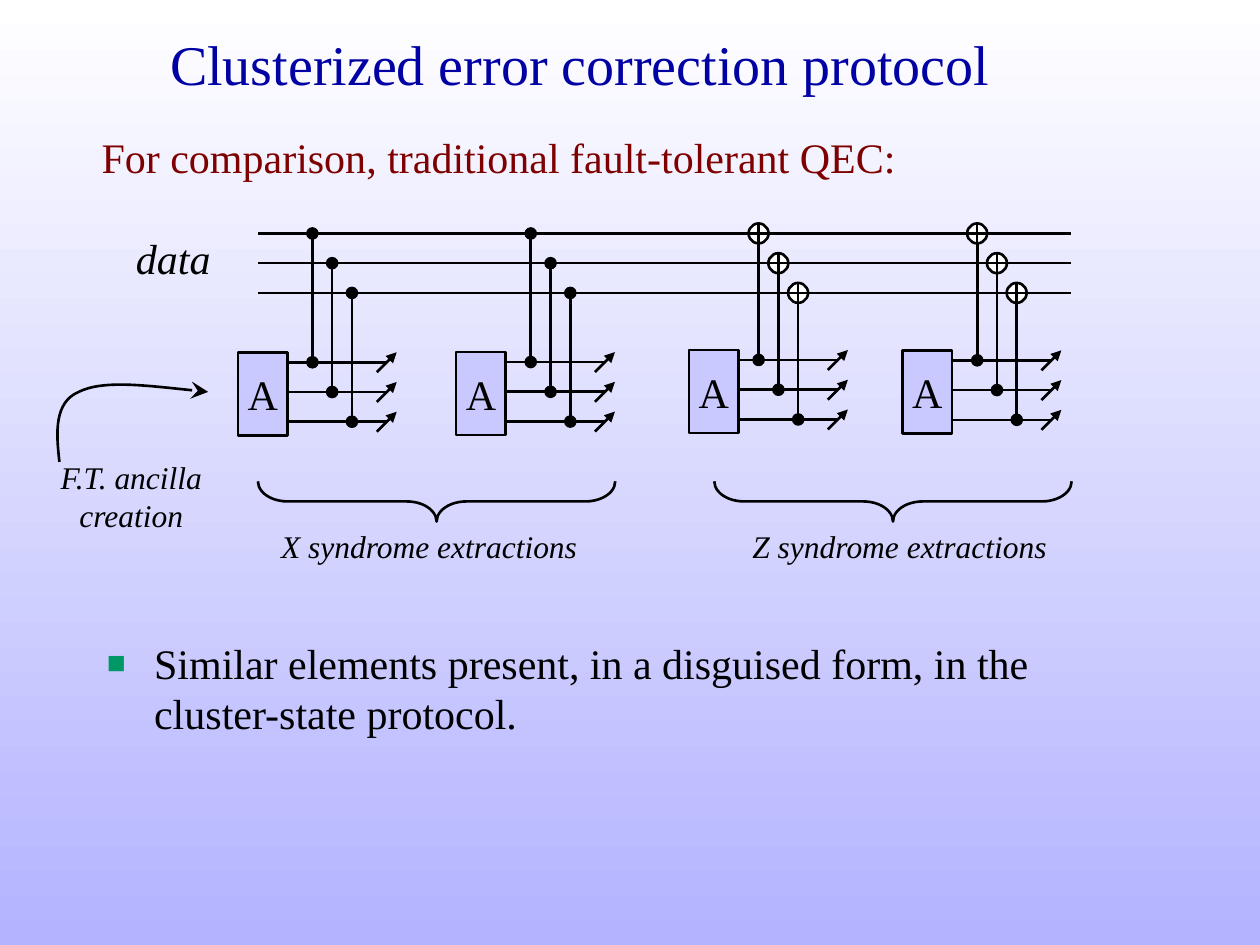
from lxml.etree import SubElement
from pptx import Presentation
from pptx.dml.color import RGBColor
from pptx.enum.shapes import MSO_CONNECTOR, MSO_SHAPE
from pptx.enum.text import MSO_ANCHOR, PP_ALIGN
from pptx.oxml.ns import qn
from pptx.util import Pt

FONT = "Times New Roman"
BLACK = "000000"
WIRE_GAP = 17
COLUMN_GAP = 11.3
DATA_TOP = 133.4
ANCILLA_WIDTH, ANCILLA_HEIGHT = 28.3, 47.5


def color(hex_string):
    return RGBColor.from_string(hex_string)


def add_bullet(paragraph):
    properties = paragraph._p.get_or_add_pPr()
    properties.set("marL", str(Pt(27)))
    properties.set("indent", str(Pt(-27)))
    bullet_color = SubElement(properties, qn("a:buClr"))
    SubElement(bullet_color, qn("a:srgbClr"), val="009966")
    SubElement(properties, qn("a:buSzPct"), val="75000")
    SubElement(properties, qn("a:buFont"), typeface=FONT)
    SubElement(properties, qn("a:buChar"), char="■")


def format_text(shape, text, size, hex_color=BLACK, italic=False, align=PP_ALIGN.LEFT,
                anchor=MSO_ANCHOR.TOP, wrap=True, bullet=False):
    frame = shape.text_frame
    frame.text = text
    frame.word_wrap = wrap
    frame.vertical_anchor = anchor
    paragraph = frame.paragraphs[0]
    paragraph.alignment = align
    if bullet:
        add_bullet(paragraph)
    font = paragraph.font
    font.name, font.size, font.italic = FONT, Pt(size), italic
    font.color.rgb = color(hex_color)


def add_text(slide, box, text, size, **style):
    shape = slide.shapes.add_textbox(*map(Pt, box))
    format_text(shape, text, size, **style)


def style_line(shape, arrow=None, arrow_size="med"):
    shape.line.color.rgb = color(BLACK)
    shape.line.width = Pt(1.5)
    if arrow:
        SubElement(shape.line._get_or_add_ln(), qn("a:tailEnd"),
                   type=arrow, w=arrow_size, len=arrow_size)


def add_line(slide, x1, y1, x2, y2, arrow=None):
    line = slide.shapes.add_connector(MSO_CONNECTOR.STRAIGHT, *map(Pt, (x1, y1, x2, y2)))
    style_line(line, arrow)
    SubElement(line._element.spPr, qn("a:effectLst"))


def add_shape(slide, kind, box, fill=None):
    shape = slide.shapes.add_shape(kind, *map(Pt, box))
    shape.shadow.inherit = False
    if fill:
        shape.fill.solid()
        shape.fill.fore_color.rgb = color(fill)
    else:
        shape.fill.background()
    style_line(shape)
    return shape


def add_node(slide, kind, x, y, diameter, fill):
    radius = diameter / 2
    add_shape(slide, kind, (x - radius, y - radius, diameter, diameter), fill)


def add_background(slide):
    fill = slide.background.fill
    fill.gradient()
    fill.gradient_angle = 270
    for stop, hex_color in zip(fill.gradient_stops, ("FFFFFF", "B3B3FF")):
        stop.color.rgb = color(hex_color)


def add_title(slide, box, text):
    title = slide.shapes.title
    title.left, title.top, title.width, title.height = map(Pt, box)
    format_text(title, text, 32, "0000A4", anchor=MSO_ANCHOR.MIDDLE)


def add_data_wires(slide, left, right):
    for row in range(3):
        y = DATA_TOP + row * WIRE_GAP
        add_line(slide, left, y, right, y)


def add_ancilla(slide, left, top):
    right = left + ANCILLA_WIDTH
    for row in range(3):
        y = top + 5.7 + row * WIRE_GAP
        add_line(slide, right, y, right + 57, y)
        add_line(slide, right + 51, y + 5.7, right + 62.4, y - 5.7, "triangle")
    block = add_shape(slide, MSO_SHAPE.RECTANGLE,
                      (left, top, ANCILLA_WIDTH, ANCILLA_HEIGHT), "C9C9FF")
    block.text_frame.margin_left = block.text_frame.margin_right = Pt(4.3)
    format_text(block, "A", 24, align=PP_ALIGN.CENTER, anchor=MSO_ANCHOR.MIDDLE)


def add_extraction(slide, gate_left, ancilla_left, ancilla_top, is_target):
    add_ancilla(slide, ancilla_left, ancilla_top)
    for row in range(3):
        x = gate_left + row * COLUMN_GAP
        data_y = DATA_TOP + row * WIRE_GAP
        ancilla_y = ancilla_top + 5.7 + row * WIRE_GAP
        add_line(slide, x, data_y, x, ancilla_y)
        add_node(slide, MSO_SHAPE.OVAL, x, ancilla_y, 5.7, BLACK)
        if is_target:
            add_node(slide, MSO_SHAPE.FLOWCHART_OR, x, data_y, 11.4, "FFFFFF")
        else:
            add_node(slide, MSO_SHAPE.OVAL, x, data_y, 5.7, BLACK)


def add_brace(slide, left, top, width, height):
    box = (left + (width - height) / 2, top + (height - width) / 2, height, width)
    brace = add_shape(slide, MSO_SHAPE.LEFT_BRACE, box)
    brace.adjustments[0] = 0.74
    brace.rotation = 270


def add_curved_arrow(slide, points):
    builder = slide.shapes.build_freeform(*points[0], scale=Pt(1))
    builder.add_line_segments(points[1:], close=False)
    arrow = builder.convert_to_shape()
    arrow.shadow.inherit = False
    arrow.fill.background()
    style_line(arrow, "stealth", "lg")
    outline = next(arrow._element.iter(qn("a:path")))
    segments = outline.findall(qn("a:lnTo"))
    for first in range(0, len(segments), 3):
        curve = SubElement(outline, qn("a:cubicBezTo"))
        for segment in segments[first:first + 3]:
            curve.append(segment[0])
            outline.remove(segment)


def main():
    presentation = Presentation()
    presentation.slide_width, presentation.slide_height = Pt(720), Pt(540)
    slide = presentation.slides.add_slide(presentation.slide_layouts[5])
    add_background(slide)
    add_title(slide, (90, -2, 612, 76), "Clusterized error correction protocol")
    add_text(slide, (51, 71.8, 612, 45),
             "For comparison, traditional fault-tolerant QEC:", 24, hex_color="7E0000")

    add_data_wires(slide, 147.4, 612)
    extractions = [
        (178.5, 136, 201.3, False),
        (303.3, 260.7, 201.2, False),
        (433.5, 393.8, 200, True),
        (558.4, 515.8, 200.2, True),
    ]
    for extraction in extractions:
        add_extraction(slide, *extraction)

    label = {"italic": True, "align": PP_ALIGN.CENTER}
    add_text(slide, (70.5, 129.6, 57, 36), "data", 24, wrap=False, **label)
    add_text(slide, (20, 258.2, 110, 50), "F.T. ancilla creation", 18, **label)
    add_curved_arrow(slide, [(34, 263.5), (32.5, 247), (31, 230.4), (45.4, 224),
                             (59, 217.4), (89.3, 221), (118.8, 224)])
    for basis, brace_left, label_left in (("X", 147.4, 153.5), ("Z", 408.2, 422.3)):
        add_brace(slide, brace_left, 275, 204.2, 23)
        add_text(slide, (label_left, 297.8, 183.5, 29),
                 f"{basis} syndrome extractions", 18, wrap=False, **label)

    add_text(slide, (54, 360.7, 612, 165),
             "Similar elements present, in a disguised form, in the cluster-state protocol.",
             24, bullet=True)
    presentation.save("out.pptx")


if __name__ == "__main__":
    main()
